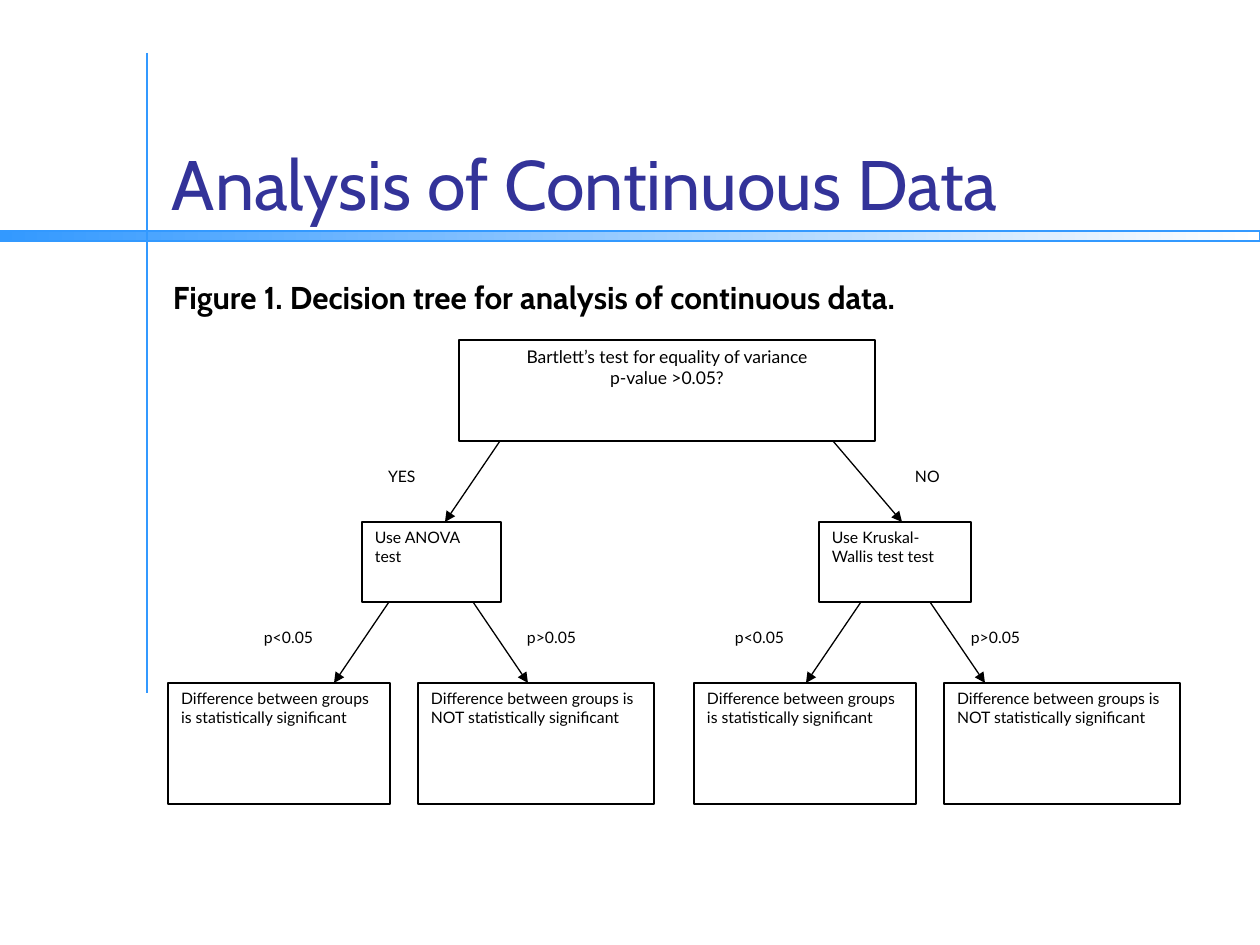
"""Build a slide with a decision tree for the analysis of continuous data."""
from lxml import etree
from pptx import Presentation
from pptx import util as u
from pptx.dml.color import RGBColor
from pptx.enum import shapes, text
from pptx.oxml import ns

COLORS = {"ink": "000000", "paper": "FFFFFF", "title": "333399", "accent": "3399FF"}
PX = u.Inches(1) / 126


def px(*lengths):
    return [u.Emu(round(n * PX)) for n in lengths]


def rgb(name):
    return RGBColor.from_string(COLORS[name])


def write(tf, content, size=9, font="Lato", color="ink", bold=False,
          align=text.PP_ALIGN.LEFT, anchor=text.MSO_ANCHOR.TOP, insets=(13, 6)):
    tf.word_wrap = True
    tf.auto_size = text.MSO_AUTO_SIZE.NONE
    tf.vertical_anchor = anchor
    tf.margin_left, tf.margin_top = tf.margin_right, tf.margin_bottom = px(*insets)
    for i, line in enumerate(content.split("\n")):
        p = tf.add_paragraph() if i else tf.paragraphs[0]
        p.alignment = align
        r = p.add_run()
        r.text = line
        r.font.size, r.font.name, r.font.bold = u.Pt(size), font, bold
        r.font.color.rgb = rgb(color)


class Deck:
    """Hold the heading font, line weight and current slide."""

    def __init__(self, prs, heading="Cabin", weight=0.75):
        self.heading, self.weight = heading, u.Pt(weight)
        self.s = prs.slides.add_slide(prs.slide_layouts[5])

    def title(self, content, *frame):
        sp = self.s.shapes.title
        sp.left, sp.top, sp.width, sp.height = px(*frame)
        write(sp.text_frame, content, size=40, font=self.heading, color="title",
              anchor=text.MSO_ANCHOR.BOTTOM)

    def rect(self, *frame):
        sp = self.s.shapes.add_shape(shapes.MSO_SHAPE.RECTANGLE, *px(*frame))
        sp.shadow.inherit = False
        return sp

    def band(self, *frame):
        sp = self.rect(*frame)
        sp.fill.gradient()
        sp.fill.gradient_angle = 0
        for stop, name in zip(sp.fill.gradient_stops, ("accent", "paper")):
            stop.color.rgb = rgb(name)
        sp.line.color.rgb = rgb("accent")
        sp.line.width = 0

    def box(self, content, *frame, outline=True, **fmt):
        sp = self.rect(*frame)
        sp.fill.solid()
        sp.fill.fore_color.rgb = rgb("paper")
        if outline:
            sp.line.color.rgb = rgb("ink")
            sp.line.width = self.weight
        else:
            sp.line.fill.background()
        write(sp.text_frame, content, **fmt)

    def label(self, content, *frame, **fmt):
        write(self.s.shapes.add_textbox(*px(*frame)).text_frame, content, **fmt)

    def line(self, *ends, color="ink", arrow=False):
        c = self.s.shapes.add_connector(shapes.MSO_CONNECTOR.STRAIGHT, *px(*ends))
        c.line.color.rgb = rgb(color)
        c.line.width = self.weight
        if arrow:
            etree.SubElement(c.line._get_or_add_ln(), ns.qn("a:tailEnd"), type="triangle")
        etree.SubElement(c._element.spPr, ns.qn("a:effectLst"))


def main():
    prs = Presentation()
    prs.slide_width, prs.slide_height = px(1260, 945)
    deck = Deck(prs)
    deck.band(0, 231, 1260, 10)
    deck.line(147, 53, 147, 693, color="accent")
    deck.title("Analysis of Continuous Data", 159, 29, 1074, 202)
    deck.label("Figure 1. Decision tree for analysis of continuous data.",
               168, 273, 1018, 557, size=18, font=deck.heading, bold=True, insets=(5, 5))

    root_y, test_y, leaf_y = 340, 522, 683
    root_h, test_h, leaf_h = 101, 80, 121
    deck.box("Bartlett’s test for equality of variance\np-value >0.05?",
             459, root_y, 416, root_h, size=10, align=text.PP_ALIGN.CENTER)

    branches = [
        ("YES", 375, (500, 445), "Use ANOVA test", 362, 139, 168, (389, 473), (251, 514)),
        ("NO", 902, (833, 902), "Use Kruskal-Wallis test test", 819, 152, 694,
         (861, 930), (722, 958)),
    ]
    outcomes = [("p<0.05", "is", 0, 222, -55), ("p>0.05", "is NOT", 250, 236, 55)]
    for answer, answer_x, (x1, x2), test, test_x, test_w, leaf_x, starts, label_xs in branches:
        deck.box(answer, answer_x, 461, 69, 40, outline=False)
        deck.box(test, test_x, test_y, test_w, test_h)
        deck.line(x1, root_y + root_h, x2, test_y, arrow=True)
        for (p_value, verb, offset, width, run), start, label_x in zip(
                outcomes, starts, label_xs):
            deck.box(f"Difference between groups {verb} statistically significant",
                     leaf_x + offset, leaf_y, width, leaf_h)
            deck.line(start, test_y + test_h, start + run, leaf_y, arrow=True)
            deck.label(p_value, label_x, 622, 111, 40)
    prs.save("out.pptx")


if __name__ == "__main__":
    main()
